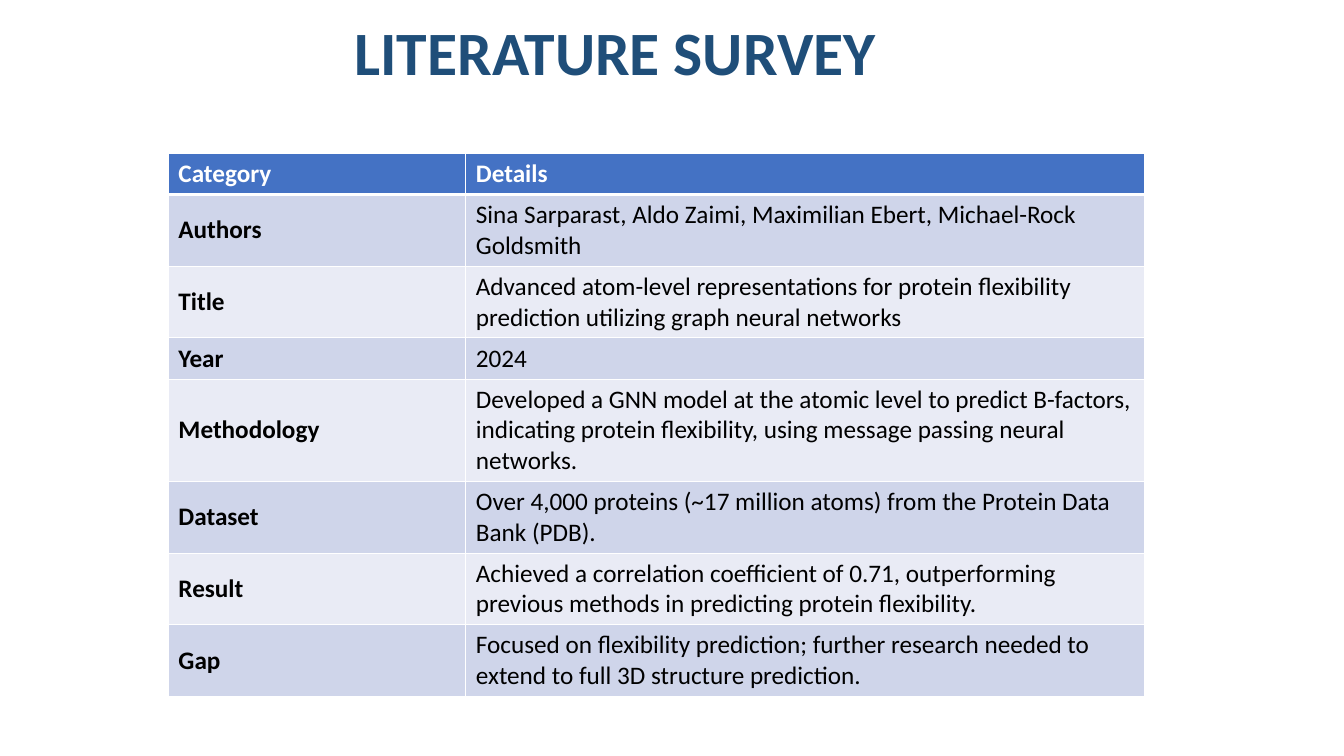
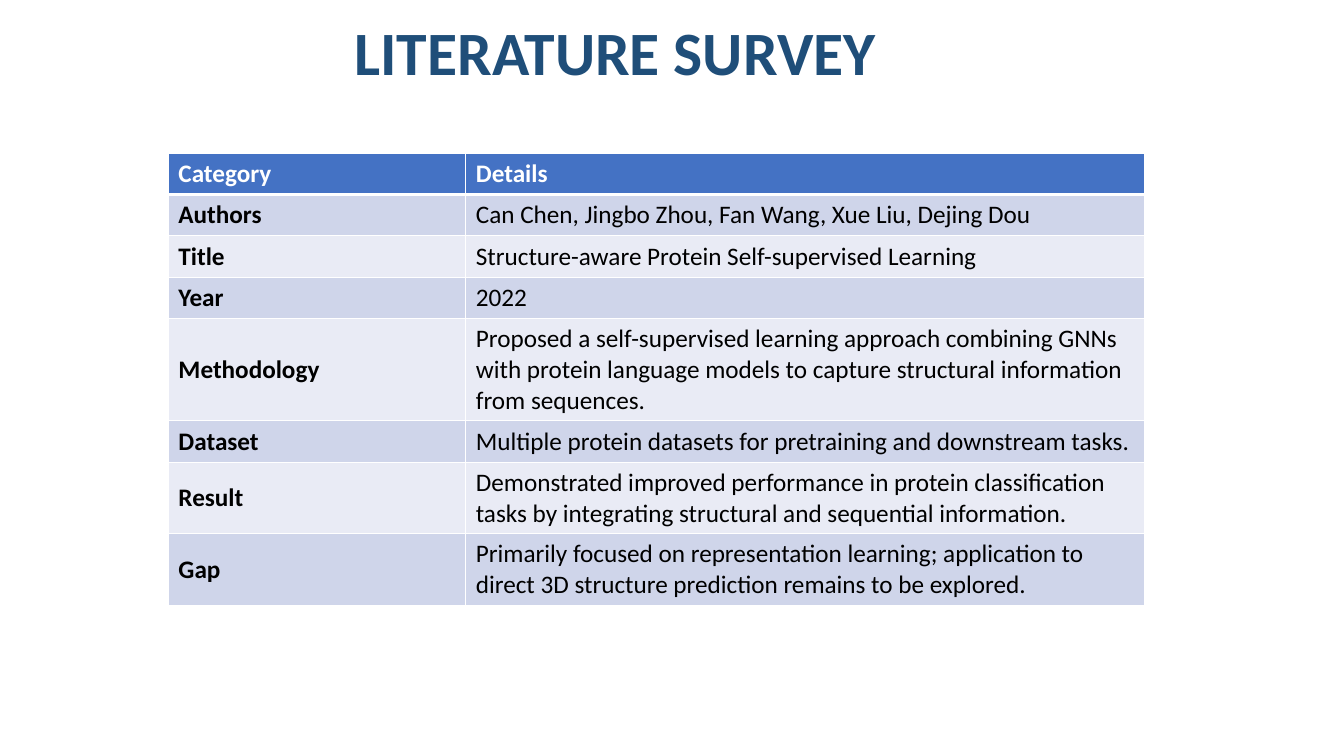
from lxml.etree import SubElement
from pptx import Presentation
from pptx.dml.color import RGBColor
from pptx.enum.text import MSO_ANCHOR, MSO_AUTO_SIZE, PP_ALIGN
from pptx.oxml.ns import qn
from pptx.util import Inches, Pt

TITLE = "LITERATURE SURVEY"
HEADINGS = ("Category", "Details")
CATEGORIES = ("Authors", "Title", "Year", "Methodology", "Dataset", "Result", "Gap")
SURVEYS = [
    (
        "Sina Sarparast, Aldo Zaimi, Maximilian Ebert, Michael-Rock Goldsmith",
        "Advanced atom-level representations for protein flexibility prediction utilizing graph neural networks",
        "2024",
        "Developed a GNN model at the atomic level to predict B-factors, indicating protein flexibility, using message passing neural networks.",
        "Over 4,000 proteins (~17 million atoms) from the Protein Data Bank (PDB).",
        "Achieved a correlation coefficient of 0.71, outperforming previous methods in predicting protein flexibility.",
        "Focused on flexibility prediction; further research needed to extend to full 3D structure prediction.",
    ),
    (
        "Can Chen, Jingbo Zhou, Fan Wang, Xue Liu, Dejing Dou",
        "Structure-aware Protein Self-supervised Learning",
        "2022",
        "Proposed a self-supervised learning approach combining GNNs with protein language models to capture structural information from sequences.",
        "Multiple protein datasets for pretraining and downstream tasks.",
        "Demonstrated improved performance in protein classification tasks by integrating structural and sequential information.",
        "Primarily focused on representation learning; application to direct 3D structure prediction remains to be explored.",
    ),
]

FONT = "Calibri"
WHITE = RGBColor(0xFF, 0xFF, 0xFF)
BLACK = RGBColor(0x00, 0x00, 0x00)
NAVY = RGBColor(0x1F, 0x4E, 0x79)
HEADER_BLUE = RGBColor(0x44, 0x72, 0xC4)
BANDS = (RGBColor(0xE9, 0xEB, 0xF5), RGBColor(0xCF, 0xD5, 0xEA))
COLUMN_WIDTHS = (Inches(2.95), Inches(6.73))
ROW_HEIGHT = Inches(0.41)
THIN, THICK = Pt(1), Pt(3)


def write(frame, text, *, size=18, color=BLACK, bold=False, align=PP_ALIGN.LEFT, spacing=None):
    para = frame.paragraphs[0]
    para.alignment = align
    para.line_spacing = spacing
    span = para.add_run()
    span.text = text
    span.font.name = FONT
    span.font.size = Pt(size)
    span.font.bold = bold
    span.font.color.rgb = color


def add_borders(cell, top, bottom):
    properties = cell._tc.get_or_add_tcPr()
    for side, width in (("L", THIN), ("R", THIN), ("T", top), ("B", bottom)):
        line = SubElement(properties, qn(f"a:ln{side}"), w=str(width))
        fill = SubElement(line, qn("a:solidFill"))
        SubElement(fill, qn("a:srgbClr"), val=str(WHITE))


def style_title_layout(layout):
    title = layout.placeholders[0]
    title.left, title.top = Inches(2.67), Inches(-0.15)
    title.width, title.height = Inches(6.87), Inches(1.08)
    frame = title.text_frame
    frame.vertical_anchor = MSO_ANCHOR.BOTTOM
    frame.auto_size = MSO_AUTO_SIZE.NONE


def add_survey_table(page, details):
    rows = [HEADINGS, *zip(CATEGORIES, details)]
    table = page.shapes.add_table(
        len(rows), len(HEADINGS), Inches(1.67), Inches(1.52),
        sum(COLUMN_WIDTHS), ROW_HEIGHT * len(rows),
    ).table
    for column, width in zip(table.columns, COLUMN_WIDTHS):
        column.width = width
    for row_index, row in enumerate(rows):
        header = row_index == 0
        for column_index, text in enumerate(row):
            cell = table.cell(row_index, column_index)
            cell.vertical_anchor = MSO_ANCHOR.MIDDLE
            add_borders(cell, THICK if row_index == 1 else THIN, THICK if header else THIN)
            cell.fill.solid()
            cell.fill.fore_color.rgb = HEADER_BLUE if header else BANDS[row_index % 2]
            write(cell.text_frame, text, color=WHITE if header else BLACK,
                  bold=header or column_index == 0)


def main():
    deck = Presentation()
    deck.slide_width, deck.slide_height = Inches(13.33), Inches(7.5)
    layout = deck.slide_layouts.get_by_name("Title Only")
    style_title_layout(layout)
    for details in SURVEYS:
        page = deck.slides.add_slide(layout)
        write(page.shapes.title.text_frame, TITLE, size=44, color=NAVY, bold=True,
              align=PP_ALIGN.CENTER, spacing=0.9)
        add_survey_table(page, details)
    deck.save("out.pptx")


if __name__ == "__main__":
    main()
